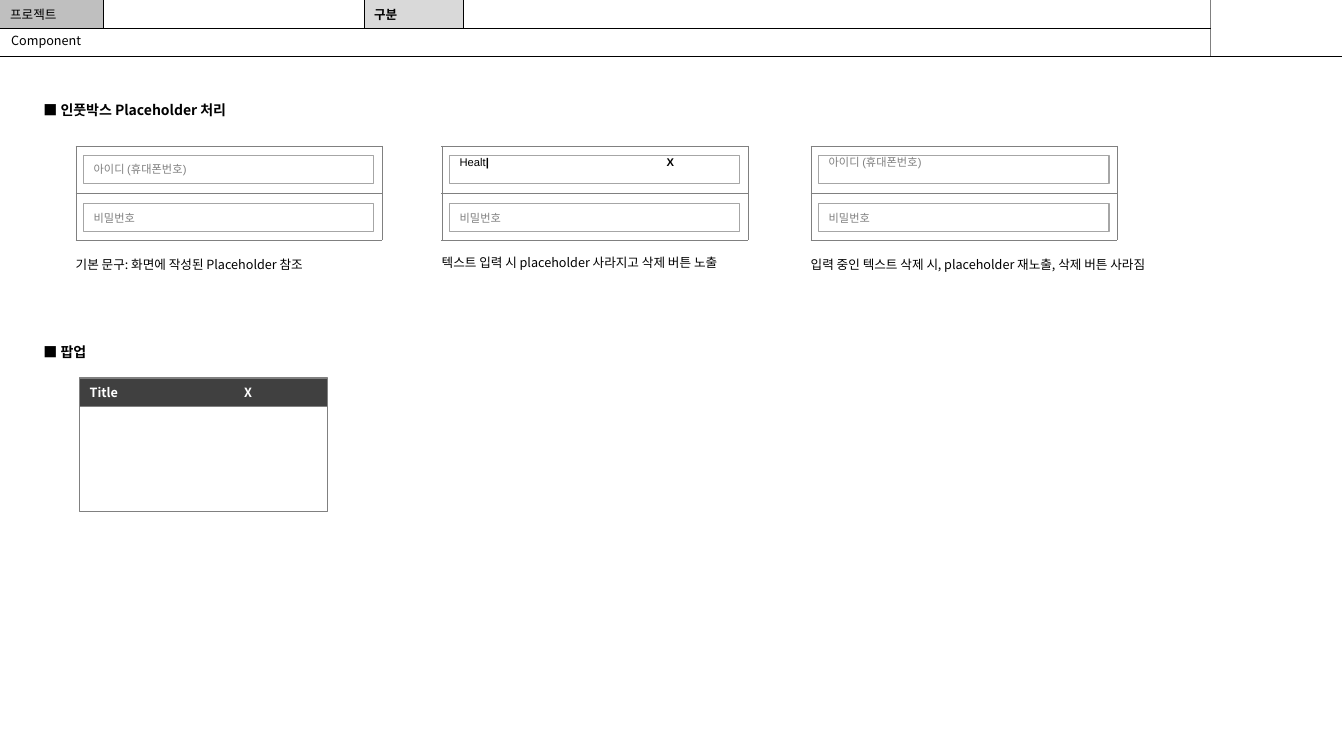
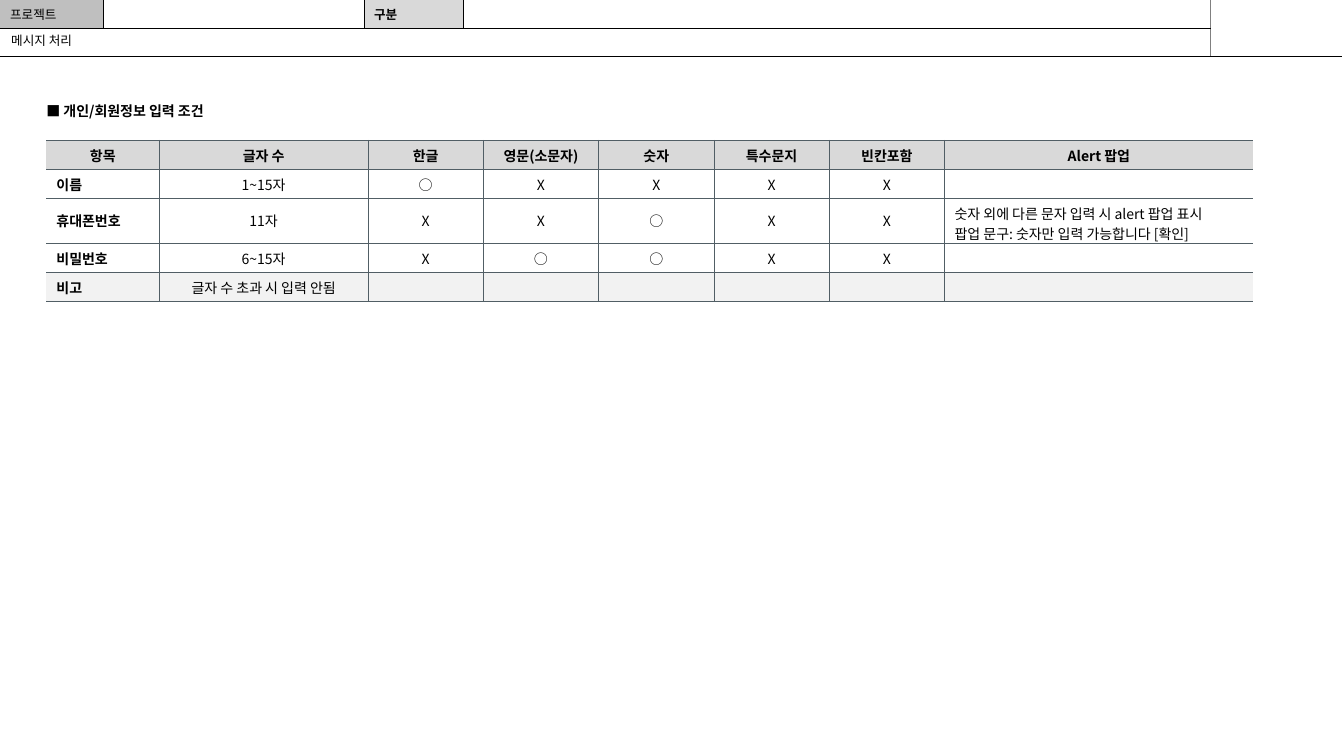
from lxml.etree import SubElement
from pptx import Presentation
from pptx.dml.color import RGBColor
from pptx.enum.shapes import MSO_SHAPE
from pptx.enum.text import MSO_ANCHOR, MSO_AUTO_SIZE, PP_ALIGN
from pptx.oxml.ns import qn
from pptx.util import Inches, Pt

WIDTH, HEIGHT = 13.33, 7.5
SANS, LATIN = "Noto Sans CJK KR", "Arial"
PLAIN_TABLE = "{2D5ABB26-0587-4C30-8999-92F81FD0307C}"
COLORS = {
    "ink": "000000", "paper": "FFFFFF", "dark": "404040", "hint": "808080",
    "field": "A6A6A6", "label": "BFBFBF", "head": "D9D9D9", "note": "F2F2F2",
    "grid": "515E65",
}


def across(share):
    """Turn a percentage of the slide's width into a length."""
    return Inches(WIDTH * share / 100)


def down(share):
    """Turn a percentage of the slide's height into a length."""
    return Inches(HEIGHT * share / 100)


def area(left, top, width, height):
    """Turn four percentages into a position and a size."""
    return across(left), down(top), across(width), down(height)


def color(name):
    """Look up a palette colour."""
    return RGBColor.from_string(COLORS[name])


class Deck:
    """Hold the shared style and the slide being built."""

    def __init__(self):
        """Open an empty presentation."""
        self.prs = Presentation()
        self.prs.slide_width, self.prs.slide_height = Inches(WIDTH), Inches(HEIGHT)
        self.layout = self.prs.slide_layouts[5]
        self.slide = None

    def page(self, title):
        """Start a slide with its title in the header strip."""
        first = self.slide is None
        self.slide = self.prs.slides.add_slide(self.layout)
        if first:
            self.header()
        heading = self.slide.shapes.title
        heading.left, heading.top, heading.width, heading.height = area(0.08, 3.6, 89.87, 3.73)
        frame = heading.text_frame
        frame.auto_size = MSO_AUTO_SIZE.NONE
        frame.vertical_anchor = MSO_ANCHOR.MIDDLE
        self.styled_run(frame.paragraphs[0], title).line_spacing = 0.9

    def styled_run(self, paragraph, text, size=9, ink="ink", bold=False, font=SANS,
                   align=PP_ALIGN.LEFT):
        """Add one styled run to a paragraph."""
        paragraph.alignment = align
        run = paragraph.add_run()
        run.text = text
        run.font.size, run.font.bold, run.font.name = Pt(size), bold, font
        run.font.color.rgb = color(ink)
        SubElement(run.font._element, qn("a:ea")).set("typeface", SANS)
        return paragraph

    def tab(self, paragraph, share):
        """Set a tab stop at a percentage of the slide's width."""
        stops = SubElement(paragraph._p.get_or_add_pPr(), qn("a:tabLst"))
        stop = SubElement(stops, qn("a:tab"))
        stop.set("pos", str(across(share)))
        stop.set("algn", "l")

    def label(self, place, text, size=9, bold=False):
        """Add a text box without insets."""
        frame = self.slide.shapes.add_textbox(*area(*place)).text_frame
        frame.word_wrap = True
        frame.vertical_anchor = MSO_ANCHOR.MIDDLE
        frame.margin_left = frame.margin_right = frame.margin_top = frame.margin_bottom = 0
        self.styled_run(frame.paragraphs[0], text, size, bold=bold)

    def heading(self, left, top, text):
        """Add a section heading."""
        self.label((left, top, 15.68, 4.4), "■ " + text, 10, True)

    def box(self, place, line, fill=None, group=None):
        """Add an outlined rectangle and return its text frame."""
        shapes = group.shapes if group else self.slide.shapes
        rect = shapes.add_shape(MSO_SHAPE.RECTANGLE, *area(*place))
        rect.shadow.inherit = False
        rect.line.color.rgb, rect.line.width = color(line), Pt(0.75)
        if fill:
            rect.fill.solid()
            rect.fill.fore_color.rgb = color(fill)
        else:
            rect.fill.background()
        rect.text_frame.word_wrap = True
        rect.text_frame.vertical_anchor = MSO_ANCHOR.MIDDLE
        return rect.text_frame

    def field(self, left, top, parts, raised=False, stop=None):
        """Add an input field; parts are (text, ink, bold) runs."""
        frame = self.box((left, top, 21.6, 3.73), "field")
        if raised:
            frame.margin_bottom = Inches(0.19)
        entry = frame.paragraphs[0]
        for text, ink, bold in parts:
            self.styled_run(entry, text, 8, ink, bold, LATIN)
        if stop:
            self.tab(entry, stop)

    def table(self, left, top, widths, heights):
        """Add a table without a style and return its frame."""
        frame = self.slide.shapes.add_table(
            len(heights), len(widths), *area(left, top, sum(widths), sum(heights)))
        grid = frame.table
        grid.first_row = grid.horz_banding = False
        grid._tbl.tblPr.find(qn("a:tableStyleId")).text = PLAIN_TABLE
        for column, width in zip(grid.columns, widths):
            column.width = across(width)
        for row, height in zip(grid.rows, heights):
            row.height = down(height)
        return frame

    def cell(self, cell, borders, fill=None, lines=(), size=9, bold=False,
             align=PP_ALIGN.LEFT):
        """Style a cell; borders map a side to (colour, points)."""
        properties = cell._tc.get_or_add_tcPr()
        for side in "LRTB":
            if side in borders:
                ink, points = borders[side]
                edge = SubElement(properties, qn("a:ln" + side))
                edge.set("w", str(Pt(points)))
                solid = SubElement(edge, qn("a:solidFill"))
                SubElement(solid, qn("a:srgbClr")).set("val", COLORS[ink])
        if fill:
            cell.fill.solid()
            cell.fill.fore_color.rgb = color(fill)
        else:
            cell.fill.background()
        cell.vertical_anchor = MSO_ANCHOR.MIDDLE
        frame = cell.text_frame
        for index, line in enumerate(lines):
            paragraph = frame.add_paragraph() if index else frame.paragraphs[0]
            self.styled_run(paragraph, line, size, bold=bold, align=align)
        if not lines:
            frame.paragraphs[0]._p.get_or_add_endParaRPr().set("sz", str(size * 100))

    def header(self):
        """Build the header strip and move it to the layout."""
        frame = self.table(0, 0, (7.65, 19.43, 7.35, 55.66, 9.75), (3.73, 3.73))
        strip = frame.table
        thin, divider = ("ink", 0.25), ("hint", 1)
        labels = {0: ("label", ["프로젝트"], False), 2: ("head", ["구분"], True)}
        for column in range(5):
            sides = {"B": thin}
            if column:
                sides["L"] = divider if column == 4 else thin
            if column < 4:
                sides["R"] = divider if column == 3 else thin
            fill, lines, bold = labels.get(column, (None, (), False))
            self.cell(strip.cell(0, column), sides, fill, lines, bold=bold)
            lower = {"B": thin}
            if column < 4:
                lower.update(T=thin)
            if column in (0, 3):
                lower.update(R=divider)
            self.cell(strip.cell(1, column), lower)
        strip.cell(0, 4).merge(strip.cell(1, 4))
        strip.cell(1, 0).merge(strip.cell(1, 3))
        self.layout.shapes._spTree.append(frame._element)

    def login_form(self, left, id_parts, caption, caption_size, **id_style):
        """Add a two-row login form with a caption below."""
        form = self.table(left, 19.33, (22.81,), (6.2, 6.2)).table
        for row in range(2):
            self.cell(form.cell(row, 0), dict.fromkeys("LRTB", ("hint", 0.25)), "paper")
        self.field(left + 0.6, 26.93, [("비밀번호", "hint", False)])
        self.field(left + 0.6, 20.53, id_parts, **id_style)
        self.label((left, 32.93, *caption_size), caption)

    def popup(self, left, top):
        """Add a popup window with a title bar."""
        window = self.slide.shapes.add_group_shape()
        self.box((left, top, 18.45, 17.6), "hint", "paper", window)
        bar = self.box((left, top + 0.13, 18.45, 3.6), "hint", "dark", window)
        self.styled_run(bar.paragraphs[0], "Title\tX", ink="paper", bold=True)
        self.tab(bar.paragraphs[0], 11.5)

    def rules(self, left, top, widths, heights, rows):
        """Add the input rules, with a head row and a closing note row."""
        grid = self.table(left, top, widths, heights).table
        line, last = ("grid", 0.5), len(widths) - 1
        for r, row in enumerate(rows):
            fill = {0: "head", len(rows) - 1: "note"}.get(r)
            for c, text in enumerate(row):
                sides = {"T": line, "B": line}
                if c:
                    sides["L"] = line
                if c < last:
                    sides["R"] = line
                centred = r == 0 or 0 < c < last
                self.cell(grid.cell(r, c), sides, fill, text.splitlines(), 10,
                          r == 0 or c == 0, PP_ALIGN.CENTER if centred else PP_ALIGN.LEFT)


deck = Deck()

deck.page("Component")
deck.heading(3.23, 12.4, "인풋박스 Placeholder 처리")
id_hint = [("아이디 (휴대폰번호)", "hint", False)]
typing_id = [("Healt", "ink", False), ("|\tX", "ink", True)]
deck.login_form(5.63, id_hint, "기본 문구: 화면에 작성된 Placeholder 참조", (20.93, 4))
deck.login_form(32.86, typing_id, "텍스트 입력 시 placeholder 사라지고 삭제 버튼 노출",
                (24.08, 3.6), raised=True, stop=15.4)
deck.login_form(60.32, id_hint,
                "입력 중인 텍스트 삭제 시, placeholder 재노출, 삭제 버튼 사라짐",
                (29.56, 4), raised=True)
deck.popup(5.93, 50)
deck.heading(3.23, 44.4, "팝업")

deck.page("메시지 처리")
deck.heading(3.45, 12.53, "개인/회원정보 입력 조건")
alert = "숫자 외에 다른 문자 입력 시 alert 팝업 표시\n팝업 문구: 숫자만 입력 가능합니다 [확인]"
deck.rules(3.45, 18.53, (8.4, 15.53, *[8.58] * 5, 22.96), (3.87, 3.87, 5.87, 3.87, 3.87), [
    ("항목", "글자 수", "한글", "영문(소문자)", "숫자", "특수문지", "빈칸포함", "Alert 팝업"),
    ("이름", "1~15자", "○", "X", "X", "X", "X", ""),
    ("휴대폰번호", "11자", "X", "X", "○", "X", "X", alert),
    ("비밀번호", "6~15자", "X", "○", "○", "X", "X", ""),
    ("비고", "글자 수 초과 시 입력 안됨", *[""] * 6),
])

deck.prs.save("out.pptx")
